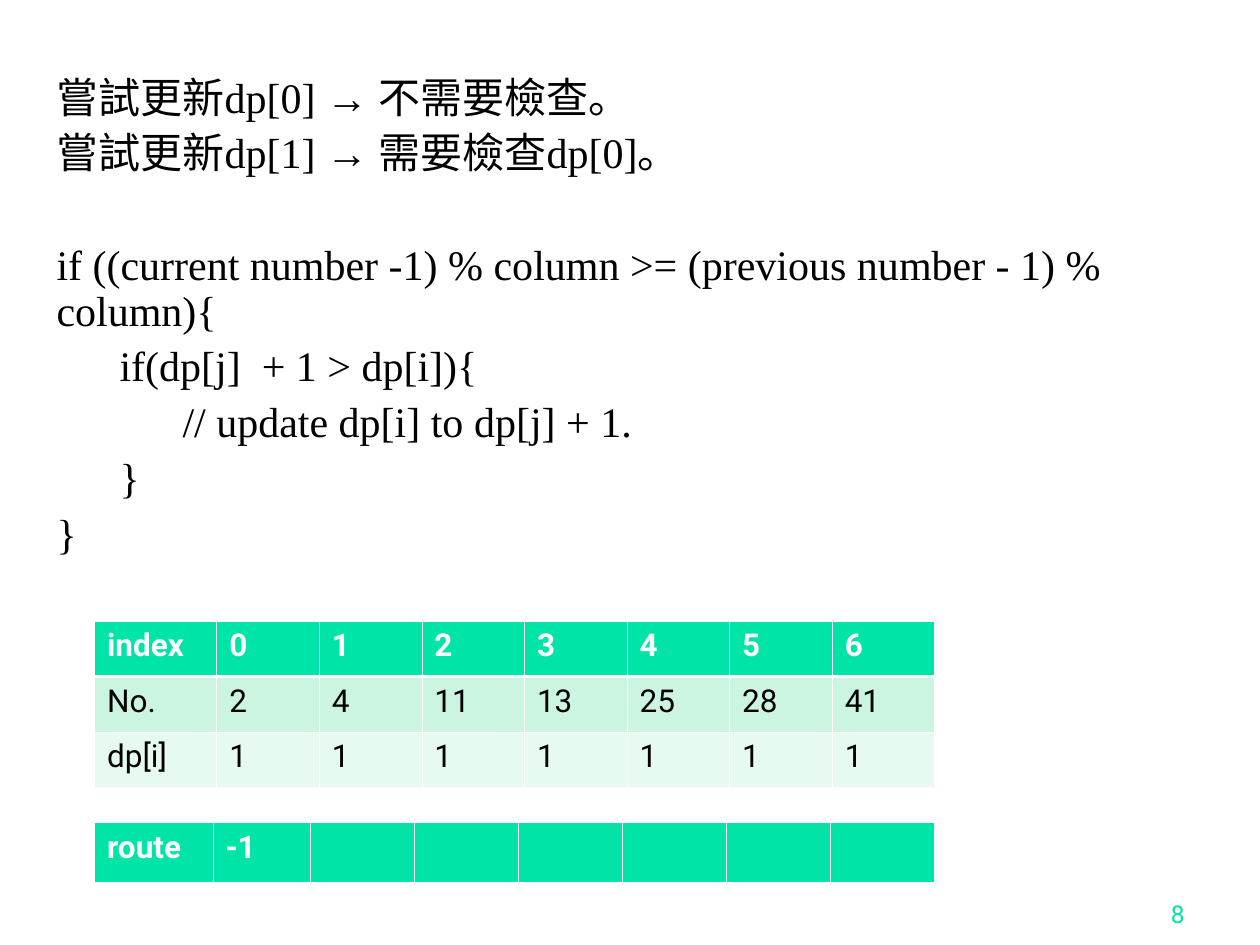
from lxml.etree import SubElement
from pptx import Presentation
from pptx.dml.color import RGBColor
from pptx.enum.text import MSO_ANCHOR, PP_ALIGN
from pptx.oxml.ns import qn
from pptx.util import Inches, Pt

COLORS = {"accent": "00E4A8", "band": "CBF5E1", "pale": "E7FAF1",
          "white": "FFFFFF", "black": "000000"}
THIN, THICK = 0.45, 1.47  # table rules, in points

EXPLANATION = ["嘗試更新dp[0] → 不需要檢查。", "嘗試更新dp[1] → 需要檢查dp[0]。"]
CODE = [
    "if ((current number -1) % column >= (previous number - 1) % column){",
    "\tif(dp[j]  + 1 > dp[i]){",
    "\t\t// update dp[i] to dp[j] + 1.",
    "\t}",
    "}",
]
DP_ROWS = [
    ["index", *range(7)],
    ["No.", 2, 4, 11, 13, 25, 28, 41],
    ["dp[i]", *[1] * 7],
]
ROUTE_ROWS = [["route", -1, *[""] * 6]]


class SlideBuilder:
    """Places elements on a grid of 40 columns by 30 rows."""

    UNIT = Inches(0.25)

    def __init__(self, slide):
        self.slide = slide

    def grid(self, *cells):
        return [round(cell * self.UNIT) for cell in cells]

    def style(self, paragraph, font, size, color, bold=False):
        paragraph.font.size = Pt(size)
        for run in paragraph.runs:
            run.font.name = font
            run.font.size = Pt(size)
            run.font.bold = bold
            run.font.color.rgb = RGBColor.from_string(COLORS[color])

    def text(self, area, lines, font, size, color, anchor=MSO_ANCHOR.TOP, align=PP_ALIGN.LEFT):
        frame = self.slide.shapes.add_textbox(*self.grid(*area)).text_frame
        frame.word_wrap = True
        frame.vertical_anchor = anchor
        frame.text = "\n".join(lines)
        for paragraph in frame.paragraphs:
            paragraph.alignment = align
            self.style(paragraph, font, size, color)
        return frame.paragraphs

    def rule_cell(self, cell, top, bottom):
        """Draw the white rules on the four sides of a table cell."""
        properties = cell._tc.get_or_add_tcPr()
        for side, width in (("L", THIN), ("R", THIN), ("T", top), ("B", bottom)):
            line = SubElement(properties, qn(f"a:ln{side}"), w=str(Pt(width)))
            fill = SubElement(line, qn("a:solidFill"))
            SubElement(fill, qn("a:srgbClr"), val=COLORS["white"])

    def table(self, left, top, width, row_height, rows, lead_widths):
        """Add a table whose columns after lead_widths share the remaining width."""
        count = len(rows[0])
        rest = count - len(lead_widths)
        widths = lead_widths + [(width - sum(lead_widths)) / rest] * rest
        area = self.grid(left, top, width, row_height * len(rows))
        table = self.slide.shapes.add_table(len(rows), count, *area).table
        for column, column_width in zip(table.columns, self.grid(*widths)):
            column.width = column_width
        for r, values in enumerate(rows):
            header = r == 0
            for c, value in enumerate(values):
                cell = table.cell(r, c)
                self.rule_cell(cell, THICK if r == 1 else THIN, THICK if header else THIN)
                cell.fill.solid()
                fill = ("accent", "band", "pale")[r]
                cell.fill.fore_color.rgb = RGBColor.from_string(COLORS[fill])
                cell.text_frame.text = str(value)
                self.style(cell.text_frame.paragraphs[0], "Roboto", 18,
                           "white" if header else "black", header)


def main():
    deck = Presentation()
    deck.slide_width, deck.slide_height = Inches(10), Inches(7.5)
    builder = SlideBuilder(deck.slides.add_slide(deck.slide_layouts[6]))

    body = builder.text((1.4, 2.24, 38.6, 15.96), EXPLANATION + CODE,
                        "Times New Roman", 24, "black")
    for position, paragraph in enumerate(body):
        paragraph.line_spacing = 0.9
        if position:
            paragraph.space_before = Pt(38 if position == len(EXPLANATION) else 6)

    builder.text((29.68, 27.68, 8.32, 2), ["8"], "Roboto", 14, "accent",
                 MSO_ANCHOR.BOTTOM, PP_ALIGN.RIGHT)
    builder.table(3, 19.72, 26.68, 1.76, DP_ROWS, [3.88])
    builder.table(3, 26.12, 26.68, 1.92, ROUTE_ROWS, [3.76, 3.08])

    deck.save("out.pptx")


if __name__ == "__main__":
    main()
